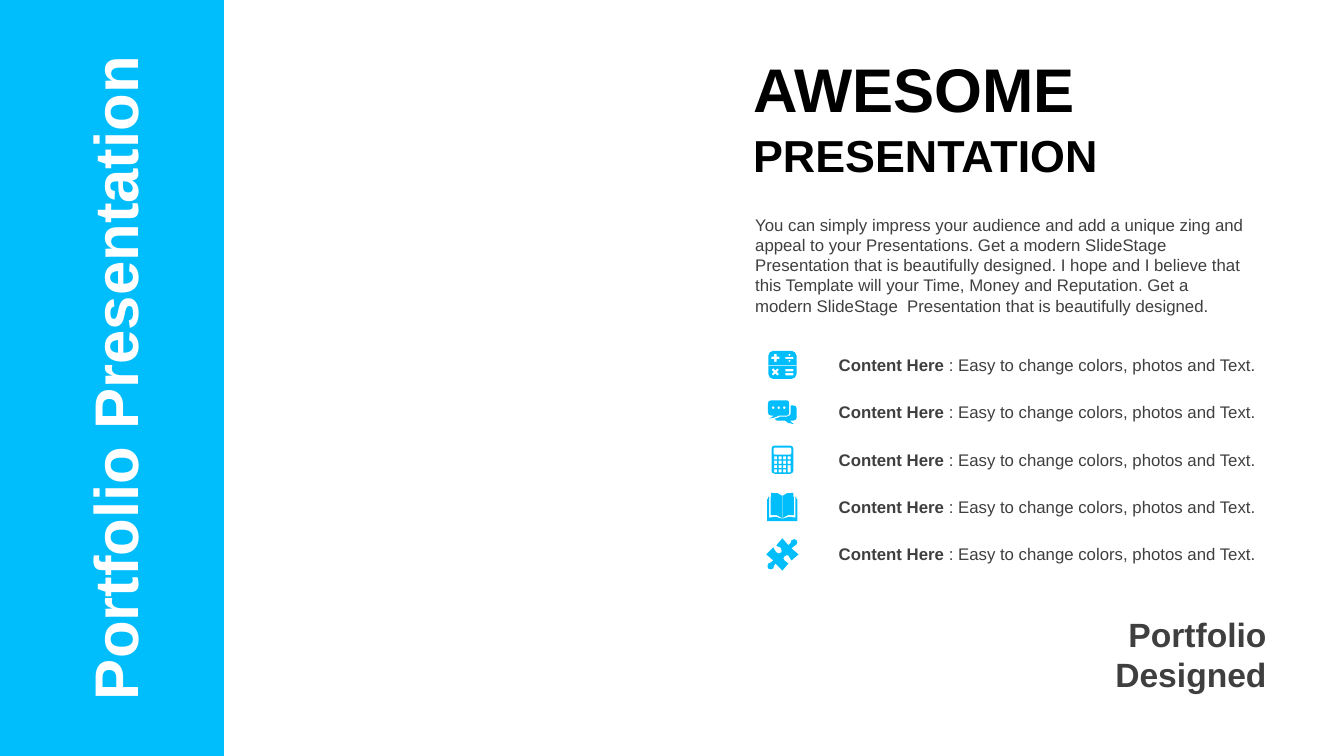
import math
from pptx import Presentation, util as u
from pptx.dml.color import RGBColor
from pptx.enum import shapes, text

# Content
SIDE_TITLE = "Portfolio Presentation"
HEADING = "AWESOME"
SUBHEADING = "PRESENTATION"
INTRO = ("You can simply impress your audience and add a unique zing and appeal to your "
         "Presentations. Get a modern SlideStage  Presentation that is beautifully designed. "
         "I hope and I believe that this Template will your Time, Money and Reputation. "
         "Get a modern SlideStage  Presentation that is beautifully designed.")
ITEM = ("Content Here ", ": Easy to change colors, photos and Text.")
FOOTER = "Portfolio Designed"

CYAN = RGBColor(0x00, 0xBD, 0xFB)
WHITE = RGBColor(0xFF, 0xFF, 0xFF)
BLACK = RGBColor(0x00, 0x00, 0x00)
GREY = RGBColor(0x3F, 0x3F, 0x3F)

# Layout in inches
WIDTH, HEIGHT = 13.33, 7.5
BAND = WIDTH / 6
COLUMN, COLUMN_WIDTH = 7.37, 5.12
ITEM_LEFT, ITEM_TOP, ITEM_WIDTH, ITEM_HEIGHT, ITEM_PITCH = 8.22, 3.47, 4.43, 0.3, 0.47
ICON_CENTRE = 7.76
UNIT = 100        # icon drawings are in hundredths of an inch
FINE = 10         # freeform steps per drawing unit
CURVE_STEPS = 2   # straight pieces per curve

LEFT, RIGHT = text.PP_ALIGN.LEFT, text.PP_ALIGN.RIGHT
CENTRE, JUSTIFY = text.PP_ALIGN.CENTER, text.PP_ALIGN.JUSTIFY
TOP, MIDDLE = text.MSO_ANCHOR.TOP, text.MSO_ANCHOR.MIDDLE


# Icon outlines: a pair is a corner, six numbers are a Bezier curve
def outline(*steps):
    points = [steps[0]]
    for step in steps[1:]:
        if len(step) == 2:
            points.append(step)
            continue
        nodes = [points[-1], step[:2], step[2:4], step[4:]]
        for i in range(1, CURVE_STEPS + 1):
            t = i / CURVE_STEPS
            weights = [math.comb(3, k) * t ** k * (1 - t) ** (3 - k) for k in range(4)]
            points.append(tuple(sum(w * node[axis] for w, node in zip(weights, nodes))
                                for axis in (0, 1)))
    return points


def box(x, y, w, h, r=0):
    corners = ((x + w - r, y + r, -90), (x + w - r, y + h - r, 0),
               (x + r, y + h - r, 90), (x + r, y + r, 180))
    turns = (0, 45, 90) if r else (0,)
    return [(cx + r * math.cos(math.radians(start + turn)),
             cy + r * math.sin(math.radians(start + turn)))
            for cx, cy, start in corners for turn in turns]


def dot(x, y, r):
    return [(x + r * math.cos(k * math.pi / 3), y + r * math.sin(k * math.pi / 3))
            for k in range(6)]


def plus(x, y, arm, half, angle=0):
    corners = [(-half, -arm), (half, -arm), (half, -half), (arm, -half), (arm, half),
               (half, half), (half, arm), (-half, arm), (-half, half), (-arm, half),
               (-arm, -half), (-half, -half)]
    c, s = math.cos(math.radians(angle)), math.sin(math.radians(angle))
    return [(x + a * c - b * s, y + a * s + b * c) for a, b in corners]


def mirror(points, width):
    return [(width - x, y) for x, y in points]


math_signs = [box(0, 0, 28, 28, 5), box(0, 14, 28, 0.8), box(13.9, 0, 0.4, 14),
              box(13.9, 14.8, 0.4, 13.2), plus(7, 7, 4, 1.2), plus(7, 21, 4, 1.2, 45),
              box(17, 6, 8, 2), dot(21, 4, 1.1), dot(21, 10, 1.1),
              box(17, 18, 8, 2.4), box(17, 22, 8, 2.4)]

chat = [outline((3, 0), (19, 0), (20, 0, 21, 1, 21, 3), (21, 12), (21, 14, 20, 15, 19, 15),
                (11, 15), (8, 17, 6, 17, 1, 18), (4, 16, 4, 17, 6, 15), (3, 15),
                (1, 15, 0, 14, 0, 12), (0, 3), (0, 1, 1, 0, 3, 0)),
        outline((22.5, 5), (25, 5), (27, 5, 28.5, 6, 28.5, 8), (28.5, 17),
                (28.5, 19, 27, 20, 25, 20), (22, 20), (23, 21, 23, 22, 26, 23.5),
                (20, 23, 19, 22, 17, 20), (9, 20), (8, 20, 7, 19, 7, 18),
                (9, 18, 10, 17, 12, 16), (19, 16), (21, 16, 22.5, 14, 22.5, 13)),
        *[dot(x, 7.2, 1.4) for x in (5.2, 10.7, 16.2)]]

calculator = [box(0, 0, 21.6, 28, 3), box(2, 2, 17.6, 7, 1)]
calculator += [box(2.7 + 4.4 * column, 10.8 + 4.3 * row, 3, 3)
               for row in range(4) for column in range(4) if column < 3 or row < 2]
calculator.append(box(15.9, 19.4, 3, 7.3))

page_gap = outline((2, 4), (3.5, 4), (3.5, 22), (8, 21, 11, 22, 14.8, 25),
                   (14.8, 25.6), (10, 23.5, 7, 23, 2, 24.5))
book = [outline((0, 28), (0, 6), (1, 6), (1, 4), (4, 4), (4, 0), (9, -0.5, 12, 0, 15, 3),
                (18, 0, 21, -0.5, 26, 0), (26, 4), (29, 4), (29, 6), (30, 6), (30, 28)),
        page_gap, mirror(page_gap, 30), box(14.8, 3, 0.4, 22)]

puzzle = [outline((30, 2), (31, 3, 31, 5, 30, 6), (29, 8, 27, 7, 25, 10), (32, 16), (25, 22),
                  (23, 21, 24, 19, 22, 17), (21, 16, 19, 17, 18, 18), (17, 19, 16, 21, 18, 22),
                  (20, 24, 20, 23, 22, 25), (16, 32), (9, 25), (7, 27, 8, 28, 7, 30),
                  (5, 31, 3, 31, 2, 30), (1, 29, 1, 27, 2, 25), (3, 24, 5, 25, 7, 22),
                  (0, 16), (7, 9), (9, 11, 8, 13, 10, 14), (11, 16, 13, 15, 15, 14),
                  (15, 13, 16, 11, 14, 9), (12, 8, 12, 9, 10, 7), (16, 0), (22, 7),
                  (25, 5, 24, 4, 25, 2), (27, 0, 29, 1, 30, 2))]

ICONS = (math_signs, chat, calculator, book, puzzle)


def paint(shape):
    shape.shadow.inherit = False
    shape.fill.solid()
    shape.fill.fore_color.rgb = CYAN
    shape.line.fill.background()


def add_icon(page, contours, centre_y):
    points = [point for contour in contours for point in contour]
    middle_x, middle_y = [(min(axis) + max(axis)) / 2 for axis in zip(*points)]
    fine = [[(round(x * FINE), round(y * FINE)) for x, y in contour] for contour in contours]
    builder = page.shapes.build_freeform(*fine[0][0], scale=u.Inches(1) / (UNIT * FINE))
    for number, contour in enumerate(fine):
        if number:
            builder.move_to(*contour[0])
        builder.add_line_segments(contour[1:], close=True)
    paint(builder.convert_to_shape(u.Inches(ICON_CENTRE - middle_x / UNIT),
                                   u.Inches(centre_y - middle_y / UNIT)))


def add_text(page, place, parts, size, color, bold, align=LEFT, anchor=TOP, inset=0.1):
    label = page.shapes.add_textbox(*[u.Inches(length) for length in place])
    frame = label.text_frame
    frame.word_wrap = True
    frame.vertical_anchor = anchor
    frame.margin_left = frame.margin_right = u.Inches(inset)
    para = frame.paragraphs[0]
    para.alignment = align
    for part, heavy in zip(parts, bold):
        span = para.add_run()
        span.text = part
        span.font.name, span.font.size, span.font.bold = "Arial", u.Pt(size), heavy
        span.font.color.rgb = color
    return label


def main():
    deck = Presentation()
    deck.slide_width, deck.slide_height = u.Inches(WIDTH), u.Inches(HEIGHT)
    page = deck.slides.add_slide(deck.slide_layouts[6])

    # Side band with the upright title
    paint(page.shapes.add_shape(shapes.MSO_SHAPE.RECTANGLE, 0, 0,
                                u.Inches(BAND), deck.slide_height))
    title = add_text(page, (-2.28, 3.18, 6.74, 1.14), [SIDE_TITLE], 44, WHITE, [True],
                     CENTRE, MIDDLE)
    title.rotation = 270
    title.text_frame.paragraphs[0].line_spacing = 1.1

    # Headings, introduction and footer
    add_text(page, (COLUMN, 0.45, COLUMN_WIDTH, 0.84), [HEADING], 44, BLACK, [True],
             JUSTIFY, MIDDLE)
    add_text(page, (COLUMN, 1.21, COLUMN_WIDTH, 0.64), [SUBHEADING], 32, BLACK, [True],
             JUSTIFY, MIDDLE)
    add_text(page, (COLUMN, 2.08, COLUMN_WIDTH, 1.11), [INTRO], 12, GREY, [False], inset=0.12)
    add_text(page, (10.69, 6.04, 1.97, 0.94), [FOOTER], 24, GREY, [True], RIGHT)

    # Item rows, each with an icon
    for row, icon in enumerate(ICONS):
        top = ITEM_TOP + row * ITEM_PITCH
        add_text(page, (ITEM_LEFT, top, ITEM_WIDTH, ITEM_HEIGHT), ITEM, 12, GREY, (True, False))
        add_icon(page, icon, top + ITEM_HEIGHT / 2)

    deck.save("out.pptx")


if __name__ == "__main__":
    main()
